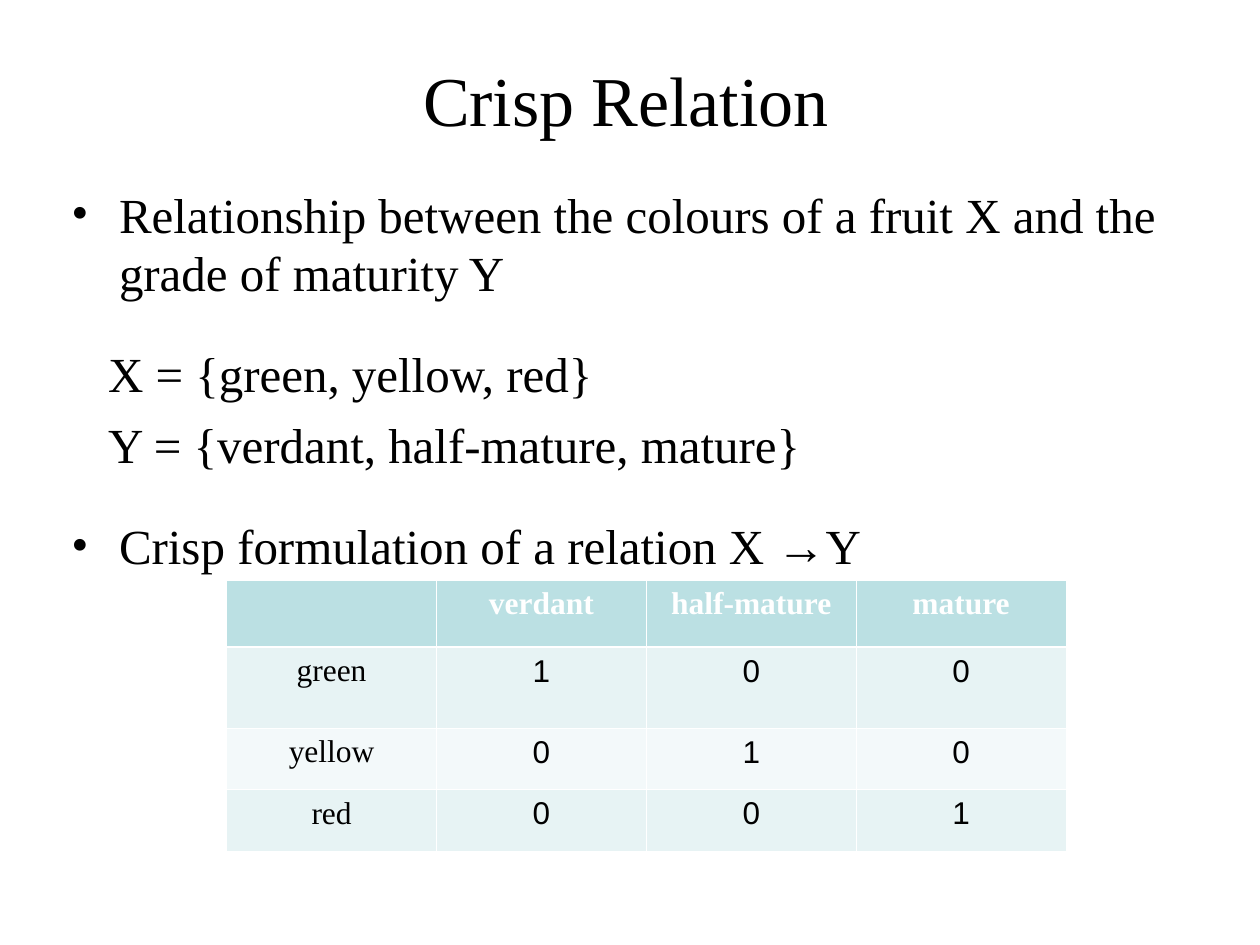
from dataclasses import dataclass

import pptx
import pptx.dml.color
import pptx.enum.text
import pptx.oxml
import pptx.oxml.ns
import pptx.util
from pptx.util import Cm

COLOURS = {
    "text": "000000",
    "header": "BBE0E3",
    "odd_row": "E7F3F4",
    "even_row": "F3F9FA",
    "border": "FFFFFF",
}
SERIF, SANS = "Times New Roman", "Arial"
ALIGN = pptx.enum.text.PP_ALIGN
ANCHOR = pptx.enum.text.MSO_ANCHOR


@dataclass
class Line:
    runs: list[tuple[str, str]]
    space_before: float
    bulleted: bool = False


LINES = [
    Line([("Relationship between the colours of a fruit X and the grade of maturity Y", SERIF)], 0, True),
    Line([("X = {green, yellow, red}", SERIF)], 24),
    Line([("Y = {verdant, half-mature, mature}", SERIF)], 7),
    Line([("Crisp formulation of a relation X ", SERIF), ("→", SANS), ("Y", SERIF)], 24, True),
]
RELATION = [
    ["", "verdant", "half-mature", "mature"],
    ["green", "1", "0", "0"],
    ["yellow", "0", "1", "0"],
    ["red", "0", "0", "1"],
]
ROW_HEIGHTS = [Cm(1.35), Cm(1.63), Cm(1.24), Cm(1.24)]
COLUMN_WIDTH = Cm(4.23)


def rgb(name: str) -> pptx.dml.color.RGBColor:
    return pptx.dml.color.RGBColor.from_string(COLOURS[name])


def style_font(paragraph, size: float, name: str = SERIF, colour: str = "text", bold: bool = False) -> None:
    font = paragraph.font
    font.size, font.name, font.bold = pptx.util.Pt(size), name, bold
    font.color.rgb = rgb(colour)


def add_xml(parent, tag: str, content: str = "", attributes: str = "") -> None:
    namespace = pptx.oxml.ns.nsdecls("a")
    parent.append(pptx.oxml.parse_xml(f"<a:{tag} {namespace} {attributes}>{content}</a:{tag}>"))


def solid(name: str) -> str:
    return f'<a:srgbClr val="{COLOURS[name]}"/>'


def write_line(paragraph, line: Line) -> None:
    paragraph.space_before = pptx.util.Pt(line.space_before)
    properties = paragraph._p.get_or_add_pPr()
    if line.bulleted:
        properties.set("marL", str(Cm(0.96)))
        properties.set("indent", str(-Cm(0.96)))
        add_xml(properties, "buClr", solid("text"))
        add_xml(properties, "buFont", attributes=f'typeface="{SERIF}"')
        add_xml(properties, "buChar", attributes='char="•"')
    else:
        properties.set("marL", str(Cm(0.74)))
        properties.set("indent", "0")
        add_xml(properties, "buNone")
    style_font(paragraph, 28)
    for text, font_name in line.runs:
        run = paragraph.add_run()
        run.text = text
        if font_name != SERIF:
            run.font.name = font_name


def style_cell(cell, row: int, column: int) -> None:
    header = row == 0
    thick_sides = {0: "B", 1: "T"}
    cell.text = RELATION[row][column]
    paragraph = cell.text_frame.paragraphs[0]
    paragraph.alignment = ALIGN.CENTER
    style_font(
        paragraph,
        18,
        SANS if row and column else SERIF,
        "border" if header else "text",
        header,
    )
    properties = cell._tc.get_or_add_tcPr()
    for side in "LRTB":
        width = pptx.util.Pt(1.47 if thick_sides.get(row) == side else 0.45)
        add_xml(properties, f"ln{side}", f"<a:solidFill>{solid('border')}</a:solidFill>", f'w="{width}"')
    cell.fill.solid()
    cell.fill.fore_color.rgb = rgb("header" if header else "odd_row" if row % 2 else "even_row")


def main() -> None:
    presentation = pptx.Presentation()
    presentation.slide_width, presentation.slide_height = Cm(25.4), Cm(19.05)
    slide = presentation.slides.add_slide(presentation.slide_layouts[5])

    # Title
    title = slide.shapes.title
    title.left, title.top, title.width, title.height = Cm(1.19), Cm(0.6), Cm(22.86), Cm(2.77)
    title.text_frame.text = "Crisp Relation"
    title.text_frame.vertical_anchor = ANCHOR.MIDDLE
    heading = title.text_frame.paragraphs[0]
    heading.alignment = ALIGN.CENTER
    style_font(heading, 40)

    # Body text
    body = slide.shapes.add_textbox(Cm(1.19), Cm(3.58), Cm(22.86), Cm(13.69))
    frame = body.text_frame
    frame.word_wrap = True
    frame.margin_top = Cm(0.13)
    for index, line in enumerate(LINES):
        write_line(frame.add_paragraph() if index else frame.paragraphs[0], line)

    # Relation table
    table = slide.shapes.add_table(
        len(RELATION), len(RELATION[0]), Cm(4.57), Cm(11.7),
        COLUMN_WIDTH * len(RELATION[0]), sum(ROW_HEIGHTS),
    ).table
    for column in table.columns:
        column.width = COLUMN_WIDTH
    for row, height in enumerate(ROW_HEIGHTS):
        table.rows[row].height = height
        for column in range(len(RELATION[row])):
            style_cell(table.cell(row, column), row, column)

    presentation.save("out.pptx")


if __name__ == "__main__":
    main()
